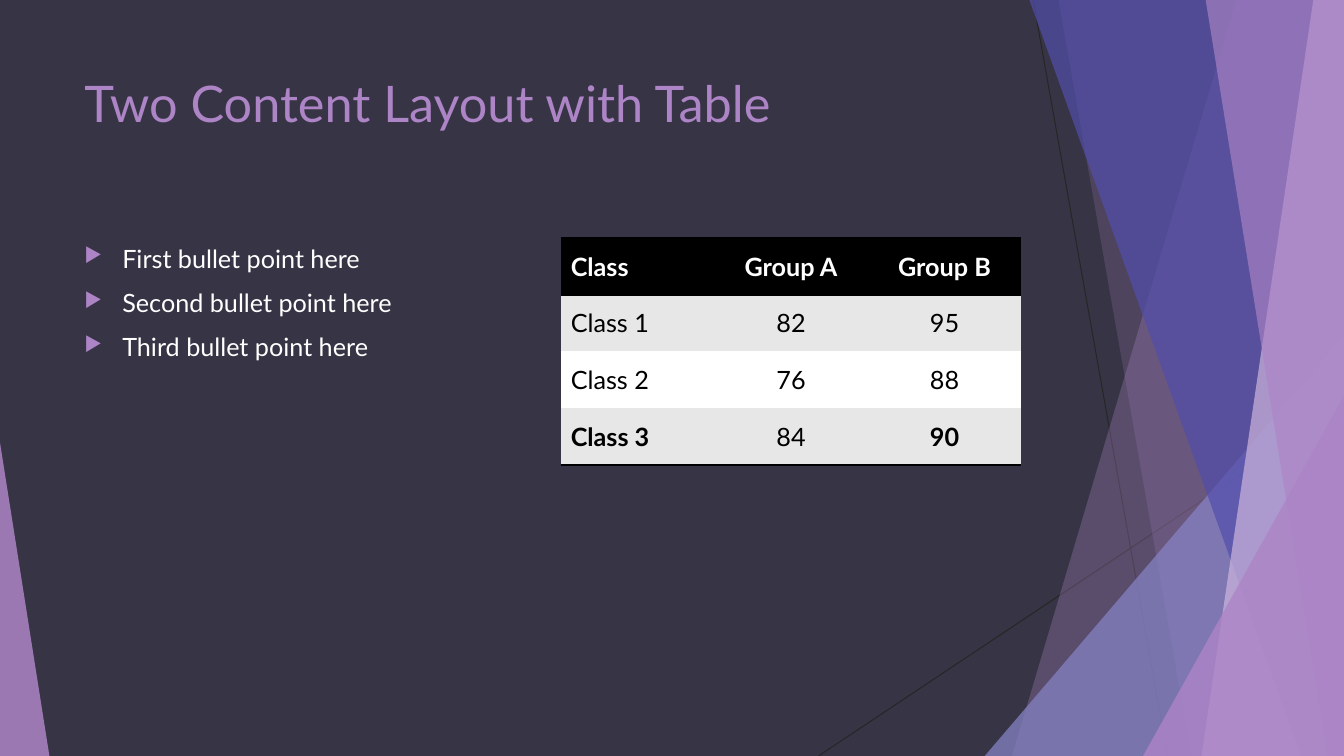
from lxml.etree import SubElement
from pptx import Presentation
from pptx.dml.color import RGBColor
from pptx.enum.shapes import MSO_CONNECTOR, MSO_SHAPE
from pptx.enum.text import MSO_ANCHOR as Anchor, PP_ALIGN as Align
from pptx.oxml.ns import qn
from pptx.util import Pt

# Content
TITLE = "Two Content Layout with Table"
BULLETS = ["First bullet point here", "Second bullet point here", "Third bullet point here"]
SCORES = [
    ("Class", "Group A", "Group B"),
    ("Class 1", "82", "95"),
    ("Class 2", "76", "88"),
    ("Class 3", "84", "90"),
]
BOLD_CELLS = {(0, 0), (0, 1), (0, 2), (3, 0), (3, 2)}

# Style
FONT = "Lato"
BACKGROUND = RGBColor(0x37, 0x35, 0x45)
PURPLE = RGBColor(0xAD, 0x84, 0xC6)
LILAC = RGBColor(0xCE, 0xB5, 0xDD)
PERIWINKLE = RGBColor(0x87, 0x84, 0xC7)
INDIGO = RGBColor(0x52, 0x4E, 0xAB)
HAIRLINE = RGBColor(0x26, 0x26, 0x26)
BAND = RGBColor(0xE7, 0xE7, 0xE7)
WHITE = RGBColor(0xFF, 0xFF, 0xFF)
BLACK = RGBColor(0, 0, 0)
NO_TABLE_STYLE = "{2D5ABB26-0587-4C30-8999-92F81FD0307C}"

# Layout, in points
WIDTH, HEIGHT = 960, 540
TOP = -0.6
LEFT, BODY_TOP = 53.3, 170.1
TABLE_LEFT, COLUMN_WIDTH, ROW_HEIGHT = 400.5, 109.7, 40.5
INDENT = 27

# Facets from back to front; a band runs from its top x and bottom x to the
# right edge, a triangle has left, top, width and apex position
HAIRLINES = [(738, 0, 834, HEIGHT), (WIDTH, 290, 584.6, HEIGHT)]
FACETS = [
    ("band", (883.4, 722.9), PURPLE, 30),
    ("band", (756, 851), PURPLE, 20),
    ("triangle", (703.4, 239.8, 256.6, 1), PERIWINKLE, 72),
    ("band", (735.1, 929.5), INDIGO, 70),
    ("band", (938.2, 858.2), LILAC, 70),
    ("band", (861.1, 948.2), PURPLE, 65),
    ("triangle", (816.5, 283, 143.5, 1), PURPLE, 80),
    ("triangle", (0, 316.1, 35.3, 0), PURPLE, 85),
]


def add_hairline(slide, ends):
    line = slide.shapes.add_connector(MSO_CONNECTOR.STRAIGHT, *map(Pt, ends))
    line.line.color.rgb = HAIRLINE
    line.line.width = Pt(0.75)
    SubElement(line._element.spPr, qn("a:effectLst"))


def add_facet(slide, kind, geometry, color, opacity):
    if kind == "band":
        top_x, bottom_x = geometry
        corners = [(WIDTH, TOP), (WIDTH, HEIGHT), (bottom_x, HEIGHT)]
        builder = slide.shapes.build_freeform(Pt(top_x), Pt(TOP))
        builder.add_line_segments([(Pt(x), Pt(y)) for x, y in corners], close=True)
        facet = builder.convert_to_shape()
    else:
        left, top, width, apex = geometry
        facet = slide.shapes.add_shape(
            MSO_SHAPE.ISOSCELES_TRIANGLE, Pt(left), Pt(top), Pt(width), Pt(HEIGHT - top))
        facet.adjustments[0] = apex
    facet.shadow.inherit = False
    facet.line.fill.background()
    facet.fill.solid()
    facet.fill.fore_color.rgb = color
    fill_color = facet._element.spPr.find(qn("a:solidFill"))[0]
    SubElement(fill_color, qn("a:alpha"), val=str(opacity * 1000))


def set_font(paragraph, size, color, bold=False):
    font = paragraph.font
    font.name, font.size, font.bold = FONT, Pt(size), bold
    font.color.rgb = color


def add_text(slide, lines, box, size, color):
    frame = slide.shapes.add_textbox(*map(Pt, box)).text_frame
    frame.word_wrap = True
    frame.vertical_anchor = Anchor.TOP
    frame.text = "\n".join(lines)
    for paragraph in frame.paragraphs:
        set_font(paragraph, size, color)
    return frame.paragraphs


def add_bullet(paragraph):
    paragraph.space_before = Pt(10)
    properties = paragraph._p.get_or_add_pPr()
    properties.set("marL", str(Pt(INDENT)))
    properties.set("indent", str(-Pt(INDENT)))
    bullet_color = SubElement(properties, qn("a:buClr"))
    SubElement(bullet_color, qn("a:srgbClr"), val=str(PURPLE))
    SubElement(properties, qn("a:buSzPct"), val="80000")
    SubElement(properties, qn("a:buChar"), char="▶")
    # Run defaults come after the bullet settings
    properties.append(properties.find(qn("a:defRPr")))


def add_border(cell, side):
    border = SubElement(cell._tc.get_or_add_tcPr(), qn(f"a:{side}"), w=str(Pt(2)))
    fill = SubElement(border, qn("a:solidFill"))
    SubElement(fill, qn("a:srgbClr"), val=str(BLACK))


def add_scores(slide):
    rows, columns = len(SCORES), len(SCORES[0])
    table = slide.shapes.add_table(
        rows, columns, Pt(TABLE_LEFT), Pt(BODY_TOP),
        Pt(columns * COLUMN_WIDTH), Pt(rows * ROW_HEIGHT)).table
    table._tbl.tblPr.find(qn("a:tableStyleId")).text = NO_TABLE_STYLE
    for r, row in enumerate(SCORES):
        for c, text in enumerate(row):
            cell = table.cell(r, c)
            cell.text = text
            cell.vertical_anchor = Anchor.MIDDLE
            paragraph = cell.text_frame.paragraphs[0]
            paragraph.alignment = Align.CENTER if c else Align.LEFT
            set_font(paragraph, 18, BLACK if r else WHITE, (r, c) in BOLD_CELLS)
            # Borders come before the fill
            if r == 0:
                add_border(cell, "lnT")
            if r in (0, rows - 1):
                add_border(cell, "lnB")
            cell.fill.solid()
            cell.fill.fore_color.rgb = BLACK if r == 0 else BAND if r % 2 else WHITE


def main():
    presentation = Presentation()
    presentation.slide_width, presentation.slide_height = Pt(WIDTH), Pt(HEIGHT)
    slide = presentation.slides.add_slide(presentation.slide_layouts[6])
    slide.background.fill.solid()
    slide.background.fill.fore_color.rgb = BACKGROUND

    # Decoration
    for ends in HAIRLINES:
        add_hairline(slide, ends)
    for facet in FACETS:
        add_facet(slide, *facet)

    # Title, bullets and table
    add_text(slide, [TITLE], (LEFT, 48, 676.8, 103.7), 36, PURPLE)
    for paragraph in add_text(slide, BULLETS, (LEFT, BODY_TOP, 329, 305.3), 18, WHITE):
        add_bullet(paragraph)
    add_scores(slide)

    presentation.save("out.pptx")


if __name__ == "__main__":
    main()
